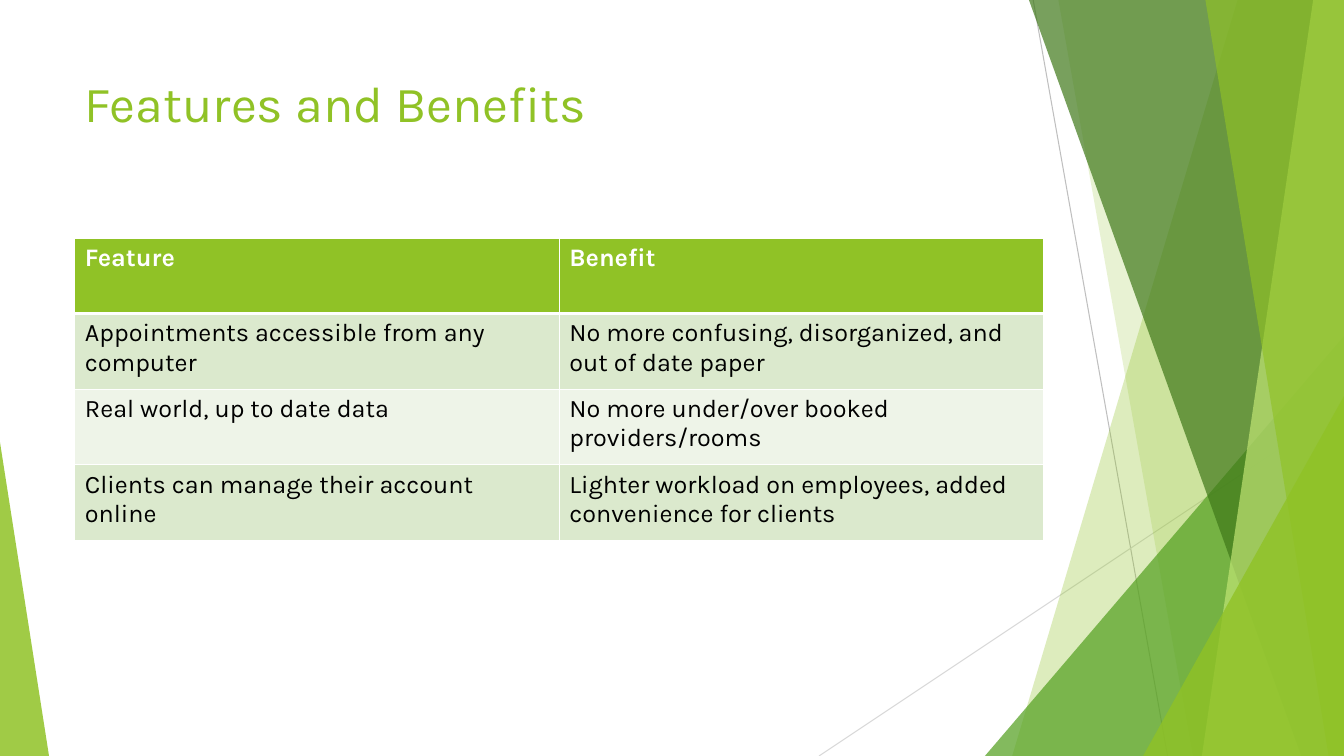
from collections import namedtuple

from lxml.etree import SubElement
from pptx import Presentation
from pptx.dml.color import RGBColor
from pptx.enum.shapes import MSO_CONNECTOR as Connector, MSO_SHAPE as Preset
from pptx.enum.text import MSO_ANCHOR as Anchor, PP_ALIGN as Align
from pptx.oxml.ns import qn
from pptx.util import Pt

Box = namedtuple("Box", "left top width height")
LIME, WHITE, BLACK = "90C226", "FFFFFF", "000000"
FONT = "Karla"


def paint(target, color, opacity=100):
    target.solid()
    target.fore_color.rgb = RGBColor.from_string(color)
    if opacity < 100:
        color_node = target._xPr.find(".//" + qn("a:srgbClr"))
        SubElement(color_node, qn("a:alpha"), val=str(opacity * 1000))


def set_all(target, values):
    for name, value in values.items():
        setattr(target, name, value)


def write(frame, text, size, color, bold=False):
    para = frame.paragraphs[0]
    para.alignment = Align.LEFT
    span = para.add_run()
    span.text = text
    set_all(span.font, {"name": FONT, "size": Pt(size), "bold": bold})
    paint(span.font.fill, color)


def finish(shape, color, opacity):
    shape.shadow.inherit = False
    paint(shape.fill, color, opacity)
    shape.line.fill.background()


def add_line(page, start, end, color):
    line = page.shapes.add_connector(Connector.STRAIGHT, *map(Pt, start + end))
    paint(line.line.fill, color)
    line.line.width = Pt(0.75)
    SubElement(line.element.spPr, qn("a:effectLst"))


def add_band(page, box, top_x, bottom_x, color, opacity):
    right, bottom = box.left + box.width, box.top + box.height
    corners = [(box.left + top_x, box.top), (right, box.top),
               (right, bottom), (box.left + bottom_x, bottom)]
    points = [(Pt(x), Pt(y)) for x, y in corners]
    builder = page.shapes.build_freeform(*points[0], scale=1.0)
    builder.add_line_segments(points[1:], close=True)
    finish(builder.convert_to_shape(), color, opacity)


def add_wedge(page, box, apex, color, opacity):
    wedge = page.shapes.add_shape(Preset.ISOSCELES_TRIANGLE, *map(Pt, box))
    wedge.adjustments[0] = apex
    finish(wedge, color, opacity)


def add_corner_wedge(page, box, width, height, color, opacity):
    corner = Box(box.left + box.width - width, box.top + box.height - height,
                 width, height)
    add_wedge(page, corner, 1, color, opacity)


def add_facets(page, box):
    right, bottom = box.left + box.width, box.top + box.height
    add_line(page, (box.left + 153, box.top), (box.left + 249, bottom), "BFBFBF")
    add_line(page, (right, box.top + 290), (box.left, bottom), "D9D9D9")
    facets = [
        (add_band, 299, 138, LIME, 30),
        (add_band, 171, 267, LIME, 20),
        (add_corner_wedge, 256.5, 300, "54A021", 72),
        (add_band, 150, 344.5, "3F7819", 70),
        (add_band, 353, 273.5, "C0E474", 70),
        (add_band, 276, 364, LIME, 65),
        (add_corner_wedge, 143.5, 257, LIME, 80),
    ]
    for add_facet, *values in facets:
        add_facet(page, box, *values)


def add_title(page, box, text):
    title = page.shapes.title
    set_all(title, {name: Pt(value) for name, value in box._asdict().items()})
    set_all(title.text_frame, {"word_wrap": True, "vertical_anchor": Anchor.TOP})
    write(title.text_frame, text, 36, LIME)


def add_borders(cell, widths):
    properties = cell._tc.get_or_add_tcPr()
    for side, width in widths.items():
        border = SubElement(properties, qn("a:ln" + side), w=str(Pt(width)))
        fill = SubElement(border, qn("a:solidFill"))
        SubElement(fill, qn("a:srgbClr"), val=WHITE)


def add_benefits_table(page, box, rows):
    table = page.shapes.add_table(len(rows), len(rows[0]), *map(Pt, box)).table
    for row_index, row in enumerate(rows):
        header = row_index == 0
        fill = LIME if header else ("EEF4E8", "DBE9CD")[row_index % 2]
        widths = {"L": 1, "R": 1, "T": 3 if row_index == 1 else 1,
                  "B": 3 if header else 1}
        for column_index, text in enumerate(row):
            cell = table.cell(row_index, column_index)
            add_borders(cell, widths)
            paint(cell.fill, fill)
            write(cell.text_frame, text, 18, WHITE if header else BLACK, header)


deck = Presentation()
set_all(deck, {"slide_width": Pt(960), "slide_height": Pt(540)})
page = deck.slides.add_slide(deck.slide_layouts[5])
add_facets(page, Box(585, 0, 375, 540))
add_wedge(page, Box(0, 316, 35, 224), 0, LIME, 85)
add_title(page, Box(53.5, 48, 677, 104), "Features and Benefits")
add_benefits_table(page, Box(53.5, 170, 692, 216), [
    ("Feature", "Benefit"),
    ("Appointments accessible from any computer",
     "No more confusing, disorganized, and out of date paper"),
    ("Real world, up to date data",
     "No more under/over booked providers/rooms"),
    ("Clients can manage their account online",
     "Lighter workload on employees, added convenience for clients"),
])
deck.save("out.pptx")
